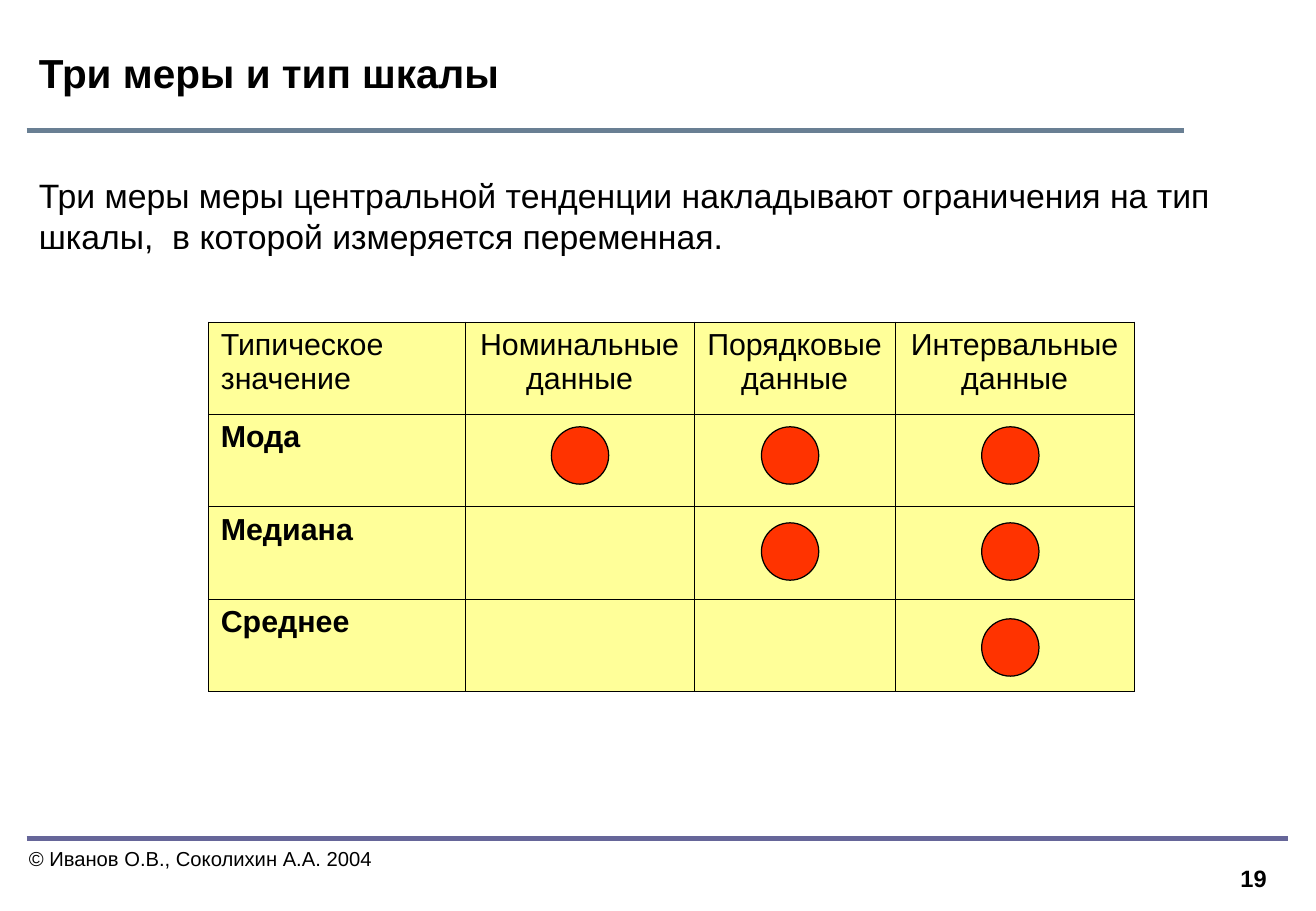
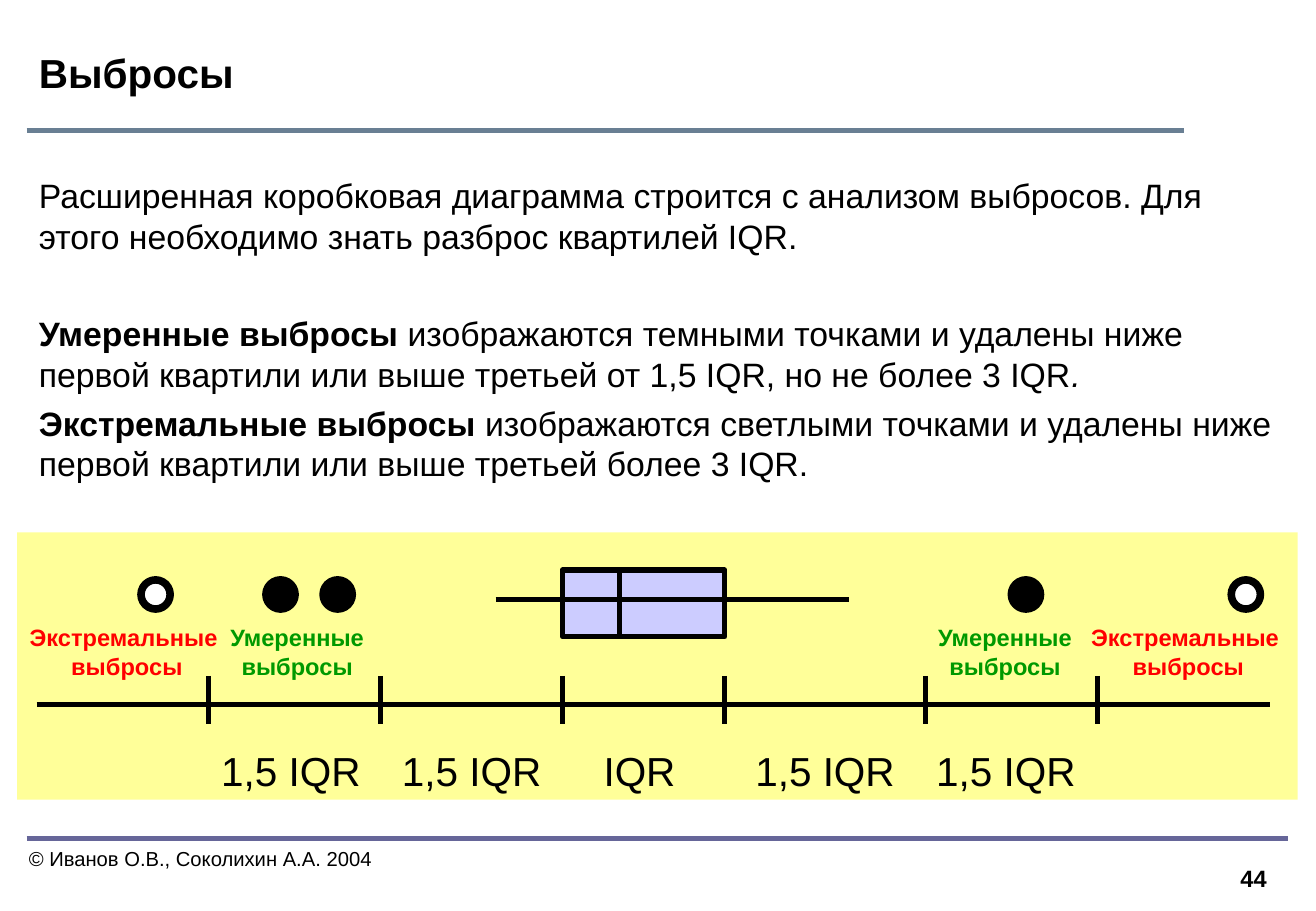
import pptx
import pptx.dml.color
import pptx.enum.shapes
import pptx.enum.text
import pptx.oxml
import pptx.util

Pt = pptx.util.Pt
ALIGN = pptx.enum.text.PP_ALIGN
ANCHOR = pptx.enum.text.MSO_ANCHOR
SHAPE = pptx.enum.shapes.MSO_SHAPE
FONT = "Arial"
COLORS = {
    "text": "000000", "line": "000000", "paper": "FFFFFF",
    "title_rule": "697F93", "footer_rule": "666699", "panel": "FFFF99",
    "mark": "FF3300", "box": "CCCCFF", "extreme": "FF0000", "moderate": "009900",
}
COPYRIGHT = "© Иванов О.В., Соколихин А.А. 2004"
NS = 'xmlns:a="http://schemas.openxmlformats.org/drawingml/2006/main"'


def rgb(name):
    """Return the palette colour with the given name."""
    return pptx.dml.color.RGBColor.from_string(COLORS[name])


def style_runs(p, size, color="text", bold=False, align=ALIGN.LEFT):
    """Format a paragraph and all its runs."""
    p.alignment = align
    for r in p.runs:
        r.font.name = FONT
        r.font.size = Pt(size)
        r.font.bold = bold
        r.font.color.rgb = rgb(color)


def place(sp, x, y, w, h):
    """Move and size a shape in points."""
    sp.left, sp.top, sp.width, sp.height = Pt(x), Pt(y), Pt(w), Pt(h)


def add_line(s, x1, y1, x2, y2, color="line", width=3):
    """Draw a straight line without a shadow."""
    ln = s.shapes.add_connector(
        pptx.enum.shapes.MSO_CONNECTOR.STRAIGHT, Pt(x1), Pt(y1), Pt(x2), Pt(y2))
    ln.line.color.rgb = rgb(color)
    ln.line.width = Pt(width)
    ln._element.spPr.append(pptx.oxml.parse_xml(f"<a:effectLst {NS}/>"))


def add_figure(s, kind, x, y, w, h, fill, width=0):
    """Draw a filled preset shape, outlined when width is positive."""
    sp = s.shapes.add_shape(kind, Pt(x), Pt(y), Pt(w), Pt(h))
    sp.shadow.inherit = False
    sp.fill.solid()
    sp.fill.fore_color.rgb = rgb(fill)
    if width:
        sp.line.color.rgb = rgb("line")
        sp.line.width = Pt(width)
    else:
        sp.line.fill.background()


def add_dot(s, cx, cy, size, fill, width):
    """Draw a circle around a centre."""
    add_figure(s, SHAPE.OVAL, cx - size / 2, cy - size / 2, size, size, fill, width)


def add_label(s, x, y, w, h, text, size, wrap=False, **style):
    """Add a text box whose paragraphs share one style."""
    sp = s.shapes.add_textbox(Pt(x), Pt(y), Pt(w), Pt(h))
    tf = sp.text_frame
    tf.word_wrap = wrap
    tf.text = text
    for p in tf.paragraphs:
        style_runs(p, size, **style)


def fill_title(s, text):
    """Fill the title placeholder."""
    sp = s.shapes.title
    place(sp, 15.84, 15.1, 663, 55.4)
    tf = sp.text_frame
    tf.text = text
    tf.vertical_anchor = ANCHOR.MIDDLE
    tf.auto_size = pptx.enum.text.MSO_AUTO_SIZE.NONE
    style_runs(tf.paragraphs[0], 24, bold=True)


def fill_body(s, height, paragraphs):
    """Fill the body with (space before, [(text, emphasis), ...]) paragraphs."""
    sp = s.placeholders[1]
    place(sp, 15.84, 100, 749, height)
    tf = sp.text_frame
    tf.auto_size = pptx.enum.text.MSO_AUTO_SIZE.NONE
    for i, (before, runs) in enumerate(paragraphs):
        p = tf.add_paragraph() if i else tf.paragraphs[0]
        pPr = p._p.get_or_add_pPr()
        pPr.set("marL", "0")
        pPr.set("indent", "0")
        pPr.append(pptx.oxml.parse_xml(f"<a:buNone {NS}/>"))
        p.space_before = Pt(before)
        for text, _ in runs:
            p.add_run().text = text
        style_runs(p, 20)
        for r, (_, emphasis) in zip(p.runs, runs):
            r.font.bold = emphasis == "bold"
            r.font.italic = emphasis == "italic"


def new_slide(prs, title, number, body_height, paragraphs):
    """Add a slide with title, body, rules, copyright and number."""
    s = prs.slides.add_slide(prs.slide_layouts[1])
    fill_title(s, title)
    fill_body(s, body_height, paragraphs)
    add_line(s, 15.84, 77.2, 702, 77.2, "title_rule", 2.75)
    add_line(s, 15.84, 497, 764, 497, "footer_rule", 2.75)
    add_label(s, 10, 498.2, 222.5, 21.6, COPYRIGHT, 12, wrap=True)
    add_label(s, 713, 508.6, 45.4, 24.5, str(number), 14, wrap=True,
              bold=True, align=ALIGN.RIGHT)
    return s


def style_cell(cell, size, bold, align):
    """Give a cell thin borders, the panel fill and its text style."""
    tcPr = cell._tc.get_or_add_tcPr()
    for side in ("lnL", "lnR", "lnT", "lnB"):
        tcPr.append(pptx.oxml.parse_xml(
            f'<a:{side} {NS} w="{Pt(0.45)}"><a:solidFill>'
            f'<a:srgbClr val="{COLORS["line"]}"/></a:solidFill></a:{side}>'))
    cell.fill.solid()
    cell.fill.fore_color.rgb = rgb("panel")
    style_runs(cell.text_frame.paragraphs[0], size, bold=bold, align=align)


def measures_table(s, x, y, w, h):
    """Draw the table of measures with a mark for each allowed scale."""
    heads = ["Типическое значение", "Номинальные данные",
             "Порядковые данные", "Интервальные данные"]
    names = ["Мода", "Медиана", "Среднее"]
    widths = [152, 136, 119, 142]
    rows = [heads] + [[name, "", "", ""] for name in names]
    tbl = s.shapes.add_table(4, 4, Pt(x), Pt(y), Pt(w), Pt(h)).table
    tbl.first_row = tbl.horz_banding = False
    for col, width in zip(tbl.columns, widths):
        col.width = Pt(w * width / sum(widths))
    for i, row in enumerate(rows):
        tbl.rows[i].height = Pt(h / len(rows))
        for j, text in enumerate(row):
            cell = tbl.cell(i, j)
            cell.text = text
            style_cell(cell, 18, i > 0 and j == 0,
                       ALIGN.CENTER if j else ALIGN.LEFT)
    centers = [220.2, 344.8, 475.4]
    for i in range(len(names)):
        for cx in centers[i:]:
            add_dot(s, x + cx, y + 79.2 + 56.9 * i, 34, "mark", 0.75)


def outlier_diagram(s, x, y, w, h):
    """Draw the extended box plot above its axis of IQR steps."""
    add_figure(s, SHAPE.RECTANGLE, x, y, w, h, "panel")
    ticks = [113.8, 215.4, 323.4, 419.8, 538.6, 640.9]
    q1, q3 = ticks[2:4]
    add_figure(s, SHAPE.RECTANGLE, x + q1, y + 22.3, q3 - q1, 39.6, "box", 3)
    add_line(s, x + 283.8, y + 39.6, x + 493.3, y + 39.6)
    add_line(s, x + 357.2, y + 22.3, x + 357.2, y + 62)
    add_line(s, x + 11.6, y + 102.2, x + 743, y + 102.2)
    for tick in ticks:
        add_line(s, x + tick, y + 85, x + tick, y + 113.5)
    steps = [(162.4, "1,5 IQR"), (269.6, "1,5 IQR"), (369.2, "IQR"),
             (479.2, "1,5 IQR"), (586.5, "1,5 IQR")]
    for cx, text in steps:
        add_label(s, x + cx - 48.6, y + 123, 97.2, 36, text, 24,
                  align=ALIGN.CENTER)
    captions = [(65.2, "Экстремальные ", "extreme"), (166.2, "Умеренные", "moderate"),
                (586, "Умеренные", "moderate"), (694.7, "Экстремальные ", "extreme")]
    for cx, kind, color in captions:
        add_label(s, x + cx - 65, y + 50.2, 130, 41, kind + "\nвыбросы", 14,
                  color=color, bold=True, align=ALIGN.CENTER)
    dots = [(82.2, "paper"), (156.3, "line"), (190.2, "line"),
            (598.4, "line"), (728.8, "paper")]
    for cx, fill in dots:
        add_dot(s, x + cx, y + 36.8, 17.3, fill, 4.5)


def main():
    """Build and save the two slides."""
    prs = pptx.Presentation()
    prs.slide_width = Pt(780.48)
    prs.slide_height = Pt(540)
    s = new_slide(prs, "Три меры и тип шкалы", 19, 113, [
        (0, [("Три меры меры центральной тенденции накладывают ограничения на тип "
              "шкалы,  в которой измеряется переменная.", "")]),
    ])
    measures_table(s, 123.8, 190.8, 549, 219)
    s = new_slide(prs, "Выбросы", 44, 374.4, [
        (0, [("Расширенная коробковая диаграмма строится с анализом выбросов. Для "
              "этого необходимо знать разброс квартилей IQR.", "")]),
        (34, [("Умеренные выбросы ", "bold"),
              ("изображаются темными точками и удалены ниже первой квартили или "
               "выше третьей от 1,5 IQR, но не более 3 IQR", ""),
              (".", "italic")]),
        (5, [("Экстремальные выбросы ", "bold"),
             ("изображаются светлыми точками и удалены ниже первой квартили или "
              "выше третьей более 3 IQR.", "")]),
    ])
    outlier_diagram(s, 10.1, 315.6, 759.6, 158.4)
    prs.save("out.pptx")


if __name__ == "__main__":
    main()
